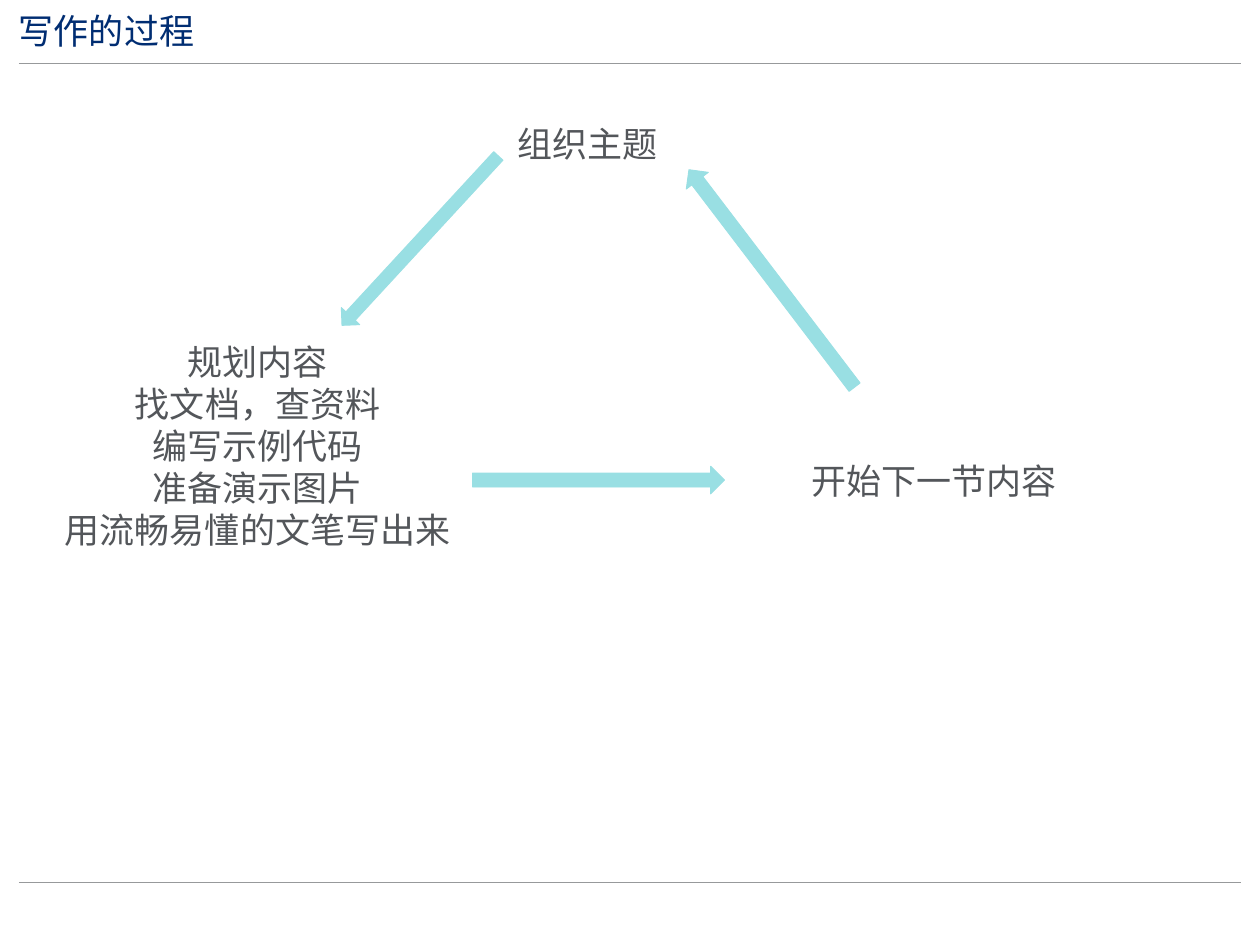
"""Build a slide showing the writing process as a three-step cycle."""
from lxml import etree
from pptx import Presentation
from pptx.dml.color import RGBColor
from pptx.enum.shapes import MSO_CONNECTOR, MSO_SHAPE
from pptx.enum.text import MSO_ANCHOR, PP_ALIGN
from pptx.oxml.ns import qn
from pptx.util import Inches, Pt

STRAIGHT = MSO_CONNECTOR.STRAIGHT
LEFT_ARROW = MSO_SHAPE.LEFT_ARROW
CENTER, LEFT = PP_ALIGN.CENTER, PP_ALIGN.LEFT
TOP, MIDDLE = MSO_ANCHOR.TOP, MSO_ANCHOR.MIDDLE

COLORS = {"title": "002D72", "text": "53565A", "arrow": "99DFE3", "rule": "97999B"}
FONT = {"name": "Arial", "size": Pt(20)}
PAGE_WIDTH, PAGE_HEIGHT, MARGIN = 10, 7.5, 0.15
RULES = [0.5, 7]

TITLE = ("写作的过程", (MARGIN, 0.07, 9.69, 0.34))
STEPS = [
    (["组织主题"], (4, 0.92, 1.32, 0.77)),
    (["规划内容", "找文档，查资料", "编写示例代码", "准备演示图片", "用流畅易懂的文笔写出来"],
     (0.4, 2.65, 3.29, 1.78)),
    (["开始下一节内容"], (6.33, 3.6, 2.17, 0.44)),
]
ARROWS = [
    ((2.42, 1.81, 1.83, 0.2), 312.7),
    ((3.75, 3.7, 2, 0.22), 180),
    ((5.04, 2.1, 2.17, 0.22), 52.7),
]


def color(name):
    return RGBColor.from_string(COLORS[name])


def add_text(page, lines, place, shade, align, anchor, inset):
    box = page.shapes.add_textbox(*map(Inches, place))
    frame = box.text_frame
    side, end = map(Inches, inset)
    settings = {"word_wrap": False, "vertical_anchor": anchor,
                "margin_left": side, "margin_right": side,
                "margin_top": end, "margin_bottom": end}
    for key, value in settings.items():
        setattr(frame, key, value)
    for index, line in enumerate(lines):
        para = frame.add_paragraph() if index else frame.paragraphs[0]
        para.alignment = align
        span = para.add_run()
        span.text = line
        for key, value in FONT.items():
            setattr(span.font, key, value)
        span.font.color.rgb = color(shade)


def add_rule(page, y):
    ends = (MARGIN, y, PAGE_WIDTH - MARGIN, y)
    rule = page.shapes.add_connector(STRAIGHT, *map(Inches, ends))
    rule.line.color.rgb = color("rule")
    rule.line.width = Pt(0.5)
    etree.SubElement(rule._element.spPr, qn("a:effectLst"))


def add_arrow(page, place, rotation):
    arrow = page.shapes.add_shape(LEFT_ARROW, *map(Inches, place))
    arrow.rotation = rotation
    arrow.shadow.inherit = False
    arrow.fill.solid()
    arrow.fill.fore_color.rgb = color("arrow")
    arrow.line.color.rgb = color("arrow")
    arrow.line.width = Pt(0.5)


def main():
    deck = Presentation()
    deck.slide_width, deck.slide_height = Inches(PAGE_WIDTH), Inches(PAGE_HEIGHT)
    page = deck.slides.add_slide(deck.slide_layouts[6])
    for y in RULES:
        add_rule(page, y)
    title, place = TITLE
    add_text(page, [title], place, "title", LEFT, MIDDLE, (0, 0))
    for lines, place in STEPS:
        add_text(page, lines, place, "text", CENTER, TOP, (0.1, 0.05))
    for place, rotation in ARROWS:
        add_arrow(page, place, rotation)
    deck.save("out.pptx")


if __name__ == "__main__":
    main()
